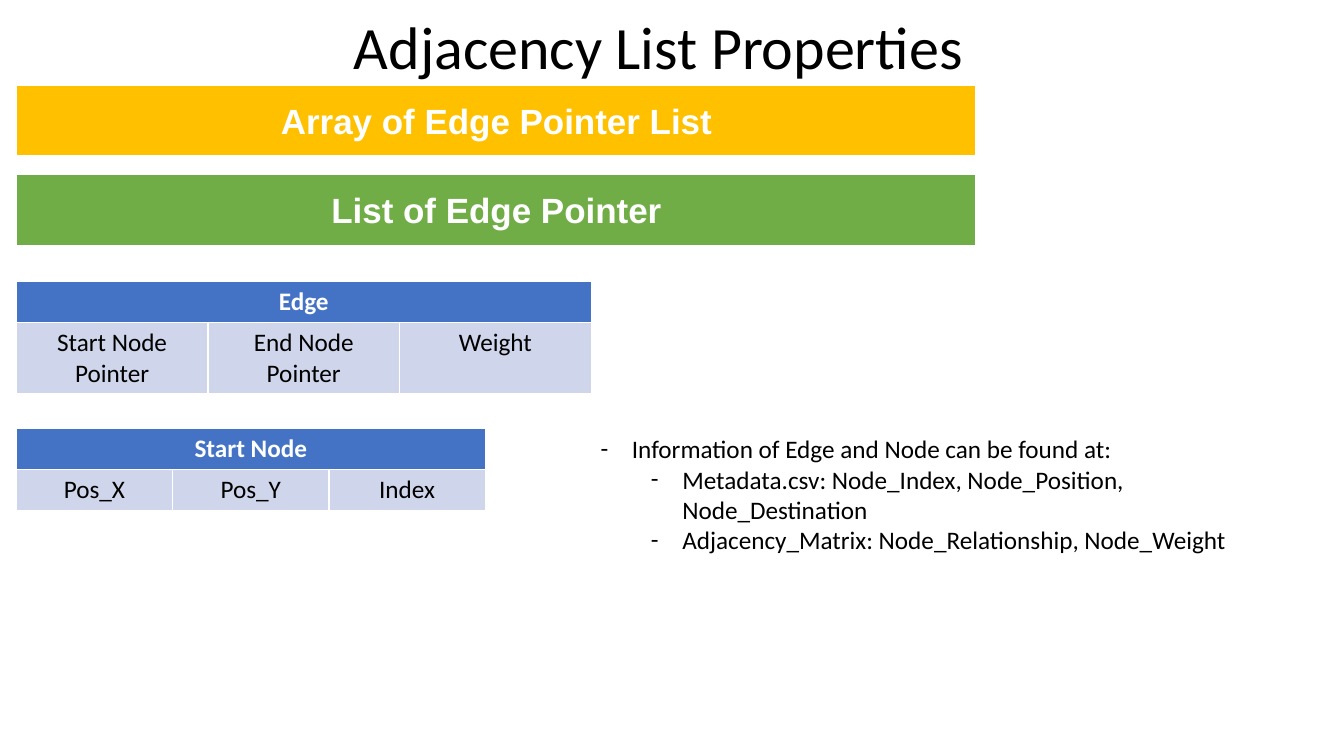
from dataclasses import dataclass

from lxml.etree import SubElement
from pptx import Presentation
from pptx.dml.color import RGBColor
from pptx.enum.shapes import MSO_SHAPE
from pptx.enum.text import MSO_ANCHOR, MSO_AUTO_SIZE, PP_ALIGN
from pptx.oxml.ns import qn
from pptx.util import Cm, Pt


@dataclass(frozen=True)
class Theme:
    white: str = "FFFFFF"
    black: str = "000000"
    amber: str = "FFC000"
    green: str = "70AD47"
    header: str = "4472C4"
    cell: str = "CFD5EA"
    body_font: str = "Calibri"
    banner_font: str = "Arial"
    title_size: float = 42.9
    banner_size: float = 25
    body_size: float = 18


THEME = Theme()
LEFT = 0.41
ROW_HEIGHT = 1.03


def set_format(target, values):
    for name, value in values.items():
        setattr(target, name, value)


def place(shape, left, top, width, height):
    set_format(shape, {"left": Cm(left), "top": Cm(top),
                       "width": Cm(width), "height": Cm(height)})


def paint(fill, color):
    fill.solid()
    fill.fore_color.rgb = RGBColor.from_string(color)


def write(p, text, size, color=THEME.black, font=THEME.body_font, bold=False,
          **paragraph_format):
    set_format(p, paragraph_format)
    r = p.add_run()
    r.text = text
    set_format(r.font, {"name": font, "size": Pt(size), "bold": bold})
    r.font.color.rgb = RGBColor.from_string(color)


def add_title(s, text):
    sp = s.shapes.title
    place(sp, 3.89, 0, 25.4, 2.54)
    tf = sp.text_frame
    set_format(tf, {"auto_size": MSO_AUTO_SIZE.NONE, "word_wrap": True,
                    "vertical_anchor": MSO_ANCHOR.MIDDLE})
    write(tf.paragraphs[0], text, THEME.title_size,
          alignment=PP_ALIGN.CENTER, line_spacing=0.9)


def add_banner(s, text, top, color):
    sp = s.shapes.add_shape(MSO_SHAPE.RECTANGLE, Cm(LEFT), Cm(top), Cm(24.2), Cm(1.8))
    sp.shadow.inherit = False
    paint(sp.fill, color)
    paint(sp.line.fill, THEME.white)
    sp.line.width = Pt(1.5)
    tf = sp.text_frame
    set_format(tf, {"word_wrap": True, "vertical_anchor": MSO_ANCHOR.MIDDLE})
    write(tf.paragraphs[0], text, THEME.banner_size, THEME.white,
          THEME.banner_font, True, alignment=PP_ALIGN.CENTER)


def add_record(s, name, fields, top, column_width):
    count = len(fields)
    table = s.shapes.add_table(2, count, Cm(LEFT), Cm(top), Cm(column_width * count),
                               Cm(2 * ROW_HEIGHT)).table
    for column in table.columns:
        column.width = Cm(column_width)
    table.cell(0, 0).merge(table.cell(0, count - 1))
    for cell in table.rows[0].cells:
        paint(cell.fill, THEME.header)
    write(table.cell(0, 0).text_frame.paragraphs[0], name, THEME.body_size,
          THEME.white, bold=True, alignment=PP_ALIGN.CENTER)
    for cell, field in zip(table.rows[1].cells, fields):
        paint(cell.fill, THEME.cell)
        write(cell.text_frame.paragraphs[0], field, THEME.body_size,
              alignment=PP_ALIGN.CENTER)


def add_dash(p, indent):
    pPr = p._p.get_or_add_pPr()
    pPr.set("marL", str(Cm(indent)))
    pPr.set("indent", str(-Cm(0.79)))
    SubElement(pPr, qn("a:buFont")).set("typeface", THEME.body_font)
    SubElement(pPr, qn("a:buChar")).set("char", "-")


def add_list(s, items):
    sp = s.placeholders[1]
    place(sp, 14.88, 10.8, 17, 3.33)
    tf = sp.text_frame
    set_format(tf, {"auto_size": MSO_AUTO_SIZE.NONE, "word_wrap": True,
                    "vertical_anchor": MSO_ANCHOR.TOP})
    for i, (level, text) in enumerate(items):
        p = tf.add_paragraph() if i else tf.paragraphs[0]
        write(p, text, THEME.body_size, level=level, alignment=PP_ALIGN.LEFT,
              space_before=Pt(0), line_spacing=1.0)
        add_dash(p, 0.79 + 1.27 * level)


def main():
    prs = Presentation()
    set_format(prs, {"slide_width": Cm(33.87), "slide_height": Cm(19.05)})
    s = prs.slides.add_slide(prs.slide_layouts[1])
    add_title(s, "Adjacency List Properties")
    add_banner(s, "Array of Edge Pointer List", 2.13, THEME.amber)
    add_banner(s, "List of Edge Pointer", 4.39, THEME.green)
    add_record(s, "Edge", ["Start Node Pointer", "End Node Pointer", "Weight"], 7.09, 4.83)
    add_record(s, "Start Node", ["Pos_X", "Pos_Y", "Index"], 10.8, 3.94)
    add_list(s, [
        (0, "Information of Edge and Node can be found at:"),
        (1, "Metadata.csv: Node_Index, Node_Position, Node_Destination"),
        (1, "Adjacency_Matrix: Node_Relationship, Node_Weight"),
    ])
    prs.save("out.pptx")


main()
